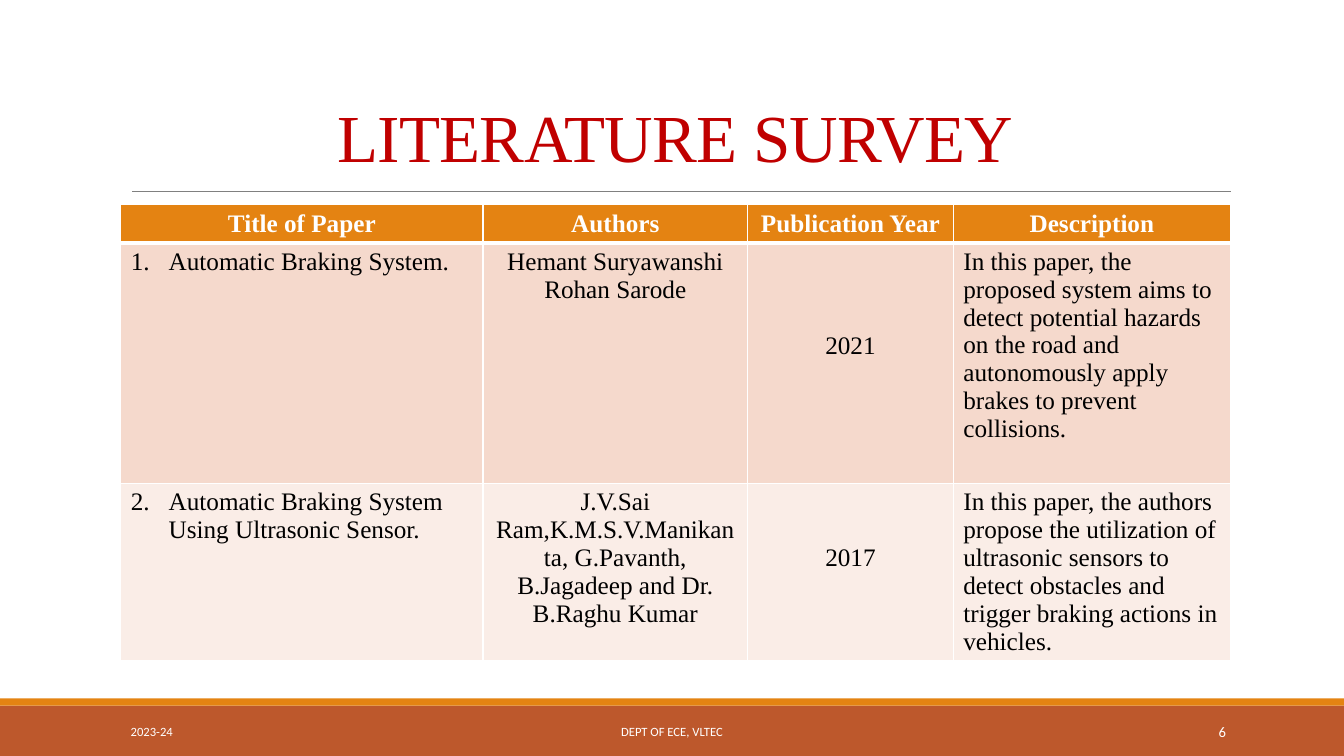
"""Build the literature survey slide with its table and footer."""
import dataclasses
import typing

import lxml.etree
import pptx
import pptx.dml.color
import pptx.enum.shapes
import pptx.enum.text
import pptx.oxml.ns
import pptx.slide
import pptx.table
import pptx.text.text
import pptx.util

EMU_PER_PX = 9525
ALIGN = pptx.enum.text.PP_ALIGN
ANCHOR = pptx.enum.text.MSO_ANCHOR
qn = pptx.oxml.ns.qn


@dataclasses.dataclass(frozen=True)
class Theme:
    serif: str = "Times New Roman"
    sans: str = "Calibri"
    title: str = "C00000"
    orange: str = "E48312"
    rust: str = "BD582C"
    rule: str = "808080"
    white: str = "FFFFFF"
    ink: str = "000000"
    row_fills: tuple[str, ...] = ("F5D9CC", "FAEDE7")
    title_size: float = 48
    table_size: float = 18
    footer_size: float = 9
    number_size: float = 10.5


THEME = Theme()


@dataclasses.dataclass(frozen=True)
class Style:
    font: str
    size: float
    color: str
    align: ALIGN = ALIGN.LEFT
    bold: bool = False


@dataclasses.dataclass(frozen=True)
class Area:
    left: int
    top: int
    width: int
    height: int

    def emu(self) -> list[int]:
        return [px(value) for value in dataclasses.astuple(self)]


@dataclasses.dataclass(frozen=True)
class Band:
    area: Area
    color: str


@dataclasses.dataclass(frozen=True)
class Footer:
    area: Area
    text: str
    style: Style


@dataclasses.dataclass(frozen=True)
class Paper:
    title: str
    authors: tuple[str, ...]
    year: str
    description: str
    year_drop: int


TITLE_AREA = Area(115, 30, 1056, 143)
TABLE_AREA = Area(115, 195, 1057, 434)
COLUMN_WIDTHS = (345, 252, 196, 264)
ROW_HEIGHTS = (36, 229, 169)
HEADINGS = ("Title of Paper", "Authors", "Publication Year", "Description")
CELL_MARGIN = 5
NUMBER_INDENT = 36

BANDS = (
    Band(Area(0, 672, 1280, 48), THEME.rust),
    Band(Area(0, 665, 1280, 7), THEME.orange),
)
FOOTERS = (
    Footer(Area(115, 678, 259, 38), "2023-24",
           Style(THEME.sans, THEME.footer_size, THEME.white)),
    Footer(Area(387, 678, 506, 38), "DEPT OF ECE, VLTEC",
           Style(THEME.sans, THEME.footer_size, THEME.white, ALIGN.CENTER)),
    Footer(Area(1040, 678, 137, 38), "6",
           Style(THEME.sans, THEME.number_size, THEME.white, ALIGN.RIGHT)),
)
PAPERS = (
    Paper("Automatic Braking System.",
          ("Hemant Suryawanshi", "Rohan Sarode"), "2021",
          "In this paper, the proposed system aims to detect potential hazards "
          "on the road and autonomously apply brakes to prevent collisions.", 80),
    Paper("Automatic Braking System Using Ultrasonic Sensor.",
          ("J.V.Sai Ram,K.M.S.V.Manikanta, G.Pavanth, B.Jagadeep and Dr. B.Raghu Kumar",),
          "2017",
          "In this paper, the authors propose the utilization of ultrasonic sensors "
          "to detect obstacles and trigger braking actions in vehicles.", 53),
)


def px(value: int) -> int:
    return pptx.util.Emu(value * EMU_PER_PX)


def rgb(color: str) -> pptx.dml.color.RGBColor:
    return pptx.dml.color.RGBColor.from_string(color)


def write(frame: pptx.text.text.TextFrame, lines: typing.Sequence[str], style: Style) -> None:
    for index, line in enumerate(lines):
        para = frame.add_paragraph() if index else frame.paragraphs[0]
        para.alignment = style.align
        span = para.add_run()
        span.text = line
        span.font.name = style.font
        span.font.size = pptx.util.Pt(style.size)
        span.font.bold = style.bold
        span.font.color.rgb = rgb(style.color)


def draw_band(page: pptx.slide.Slide, band: Band) -> None:
    shape = page.shapes.add_shape(pptx.enum.shapes.MSO_SHAPE.RECTANGLE, *band.area.emu())
    shape.shadow.inherit = False
    shape.fill.solid()
    shape.fill.fore_color.rgb = rgb(band.color)
    shape.line.fill.background()


def draw_rule(page: pptx.slide.Slide, left: int, right: int, top: int) -> None:
    rule = page.shapes.add_connector(
        pptx.enum.shapes.MSO_CONNECTOR.STRAIGHT, px(left), px(top), px(right), px(top))
    rule.line.color.rgb = rgb(THEME.rule)
    rule.line.width = pptx.util.Pt(0.5)
    lxml.etree.SubElement(rule._element.spPr, qn("a:effectLst"))


def draw_title(page: pptx.slide.Slide, text: str) -> None:
    title = page.shapes.title
    title.left, title.top, title.width, title.height = TITLE_AREA.emu()
    frame = title.text_frame
    frame.auto_size = pptx.enum.text.MSO_AUTO_SIZE.NONE
    frame.vertical_anchor = ANCHOR.BOTTOM
    write(frame, [text], Style(THEME.serif, THEME.title_size, THEME.title, ALIGN.CENTER))
    para = frame.paragraphs[0]
    para.line_spacing = 0.85
    para.runs[0]._r.get_or_add_rPr().set("spc", "-50")


def draw_footer(page: pptx.slide.Slide, footer: Footer) -> None:
    box = page.shapes.add_textbox(*footer.area.emu())
    box.text_frame.word_wrap = True
    box.text_frame.vertical_anchor = ANCHOR.MIDDLE
    write(box.text_frame, [footer.text], footer.style)


def number_paragraph(para: pptx.text.text._Paragraph, start: int) -> None:
    properties = para._p.get_or_add_pPr()
    properties.set("marL", str(px(NUMBER_INDENT)))
    properties.set("indent", str(-px(NUMBER_INDENT)))
    lxml.etree.SubElement(properties, qn("a:buAutoNum"), type="arabicPeriod", startAt=str(start))


def paint_cell(cell: pptx.table._Cell, color: str, top: int = 1, bottom: int = 1) -> None:
    properties = cell._tc.get_or_add_tcPr()
    for side, points in (("L", 1), ("R", 1), ("T", top), ("B", bottom)):
        width = str(pptx.util.Pt(points))
        border = lxml.etree.SubElement(properties, qn(f"a:ln{side}"), w=width)
        fill = lxml.etree.SubElement(border, qn("a:solidFill"))
        lxml.etree.SubElement(fill, qn("a:srgbClr"), val=THEME.white)
    cell.fill.solid()
    cell.fill.fore_color.rgb = rgb(color)


def draw_table(page: pptx.slide.Slide) -> None:
    table = page.shapes.add_table(len(ROW_HEIGHTS), len(COLUMN_WIDTHS), *TABLE_AREA.emu()).table
    for column, width in zip(table.columns, COLUMN_WIDTHS):
        column.width = px(width)
    for row, height in zip(table.rows, ROW_HEIGHTS):
        row.height = px(height)
    heading = Style(THEME.serif, THEME.table_size, THEME.white, ALIGN.CENTER, True)
    body = Style(THEME.serif, THEME.table_size, THEME.ink)
    centred = dataclasses.replace(body, align=ALIGN.CENTER)
    for cell, text in zip(table.rows[0].cells, HEADINGS):
        write(cell.text_frame, [text], heading)
        paint_cell(cell, THEME.orange, bottom=3)
    for number, (paper, color) in enumerate(zip(PAPERS, THEME.row_fills), 1):
        cells = list(table.rows[number].cells)
        contents = (((paper.title,), body), (paper.authors, centred),
                    ((paper.year,), centred), ((paper.description,), body))
        for cell, (lines, style) in zip(cells, contents):
            write(cell.text_frame, lines, style)
            paint_cell(cell, color, top=3 if number == 1 else 1)
        number_paragraph(cells[0].text_frame.paragraphs[0], number)
        cells[2].margin_top = px(CELL_MARGIN + paper.year_drop)


def main() -> None:
    deck = pptx.Presentation()
    deck.slide_width, deck.slide_height = px(1280), px(720)
    page = deck.slides.add_slide(deck.slide_layouts.get_by_name("Title Only"))
    for band in BANDS:
        draw_band(page, band)
    draw_rule(page, 126, 1172, 182)
    draw_title(page, "LITERATURE SURVEY")
    draw_table(page)
    for footer in FOOTERS:
        draw_footer(page, footer)
    deck.save("out.pptx")


if __name__ == "__main__":
    main()
